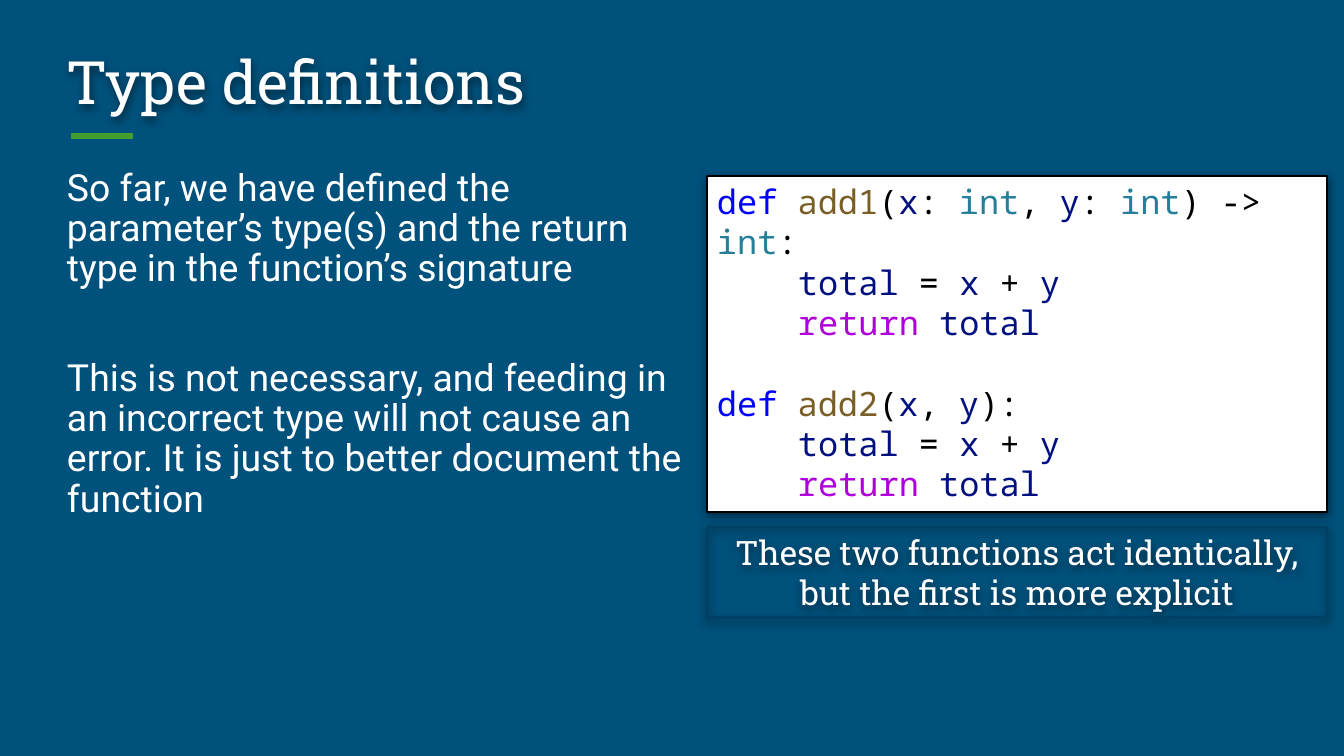
"""Build a slide on optional type definitions in Python functions."""
from lxml import etree
from pptx import Presentation
from pptx.dml.color import RGBColor
from pptx.enum.shapes import MSO_CONNECTOR, MSO_SHAPE
from pptx.enum.text import MSO_ANCHOR, MSO_AUTO_SIZE, PP_ALIGN
from pptx.oxml.ns import qn
from pptx.util import Pt

RECTANGLE = MSO_SHAPE.RECTANGLE
STRAIGHT = MSO_CONNECTOR.STRAIGHT
TOP, MIDDLE = MSO_ANCHOR.TOP, MSO_ANCHOR.MIDDLE
LEFT, CENTER = PP_ALIGN.LEFT, PP_ALIGN.CENTER
NO_AUTOFIT = MSO_AUTO_SIZE.NONE

TITLE = "Type definitions"
EXPLANATION = [
    "So far, we have defined the parameter’s type(s) and the return type in the function’s signature",
    "This is not necessary, and feeding in an incorrect type will not cause an error. "
    "It is just to better document the function",
]
CAPTION = "These two functions act identically, but the first is more explicit"
FUNCTION_BODY = [
    [("total", "variable"), (" = ", "plain"), ("x", "variable"), (" + ", "plain"), ("y", "variable")],
    [("return ", "control"), ("total", "variable")],
]
SIGNATURES = [
    [("def ", "keyword"), ("add1", "function"), ("(", "plain"),
     ("x", "variable"), (": ", "plain"), ("int", "type"), (", ", "plain"),
     ("y", "variable"), (": ", "plain"), ("int", "type"), (") -> ", "plain"),
     ("int", "type"), (":", "plain")],
    [("def ", "keyword"), ("add2", "function"), ("(", "plain"),
     ("x", "variable"), (", ", "plain"), ("y", "variable"), ("):", "plain")],
]

THEME = {
    "background": "00517C", "accent": "419E2F", "text": "FFFFFF",
    "panel": "FFFFFF", "panel_line": "000000", "caption_line": "004065", "shadow": "000000",
    "syntax": {"keyword": "0000FF", "function": "795E26", "plain": "000000",
               "variable": "001080", "type": "267F99", "control": "AF00DB"},
    "heading_font": "Roboto Slab", "body_font": "Roboto", "code_font": "Noto Sans Mono",
    "title_size": 32, "body_size": 20, "code_size": 18, "caption_size": 18,
}

EMU_PER_PX = 914400 / 134.4
SLIDE_SIZE = (1344, 756)
TITLE_BOX = (57, 35, 1230, 101)
BODY_BOX = (57, 164, 649, 507)
CODE_BOX = (707, 176, 620, 336)
CAPTION_BOX = (707, 527, 620, 91)
ACCENT_LINE = (71, 136, 133, 136)
INSET_X, INSET_Y, CODE_INDENT = 10, 5, 81
BODY_GAP, CODE_GAP = Pt(37), Pt(21.6)


def px(*lengths):
    return [round(length * EMU_PER_PX) for length in lengths]


def color(value):
    return RGBColor.from_string(value)


def place(shape, box):
    shape.left, shape.top, shape.width, shape.height = px(*box)


def set_frame(shape, anchor):
    frame = shape.text_frame
    frame.word_wrap = True
    frame.auto_size = NO_AUTOFIT
    frame.vertical_anchor = anchor
    frame.margin_left, frame.margin_right = px(INSET_X, INSET_X)
    frame.margin_top, frame.margin_bottom = px(INSET_Y, INSET_Y)
    return frame


def next_paragraph(frame, index, alignment=LEFT):
    paragraph = frame.add_paragraph() if index else frame.paragraphs[0]
    paragraph.alignment = alignment
    paragraph.space_before = Pt(0)
    return paragraph


def add_run(paragraph, text, font, size, value):
    run = paragraph.add_run()
    run.text = text
    run.font.name = font
    run.font.size = Pt(size)
    run.font.color.rgb = color(value)


def add_shadow(shape):
    shape.shadow.inherit = False
    effects = shape._element.spPr.find(qn("a:effectLst"))
    shadow = etree.SubElement(effects, qn("a:outerShdw"), blurRad=str(Pt(4.5)), dist=str(Pt(1.5)),
                              dir="5400000", algn="bl", rotWithShape="0")
    tint = etree.SubElement(shadow, qn("a:srgbClr"), val=THEME["shadow"])
    etree.SubElement(tint, qn("a:alpha"), val="50000")


def add_panel(slide, box, line_color, line_width, fill_color=None):
    panel = slide.shapes.add_shape(RECTANGLE, *px(*box))
    if fill_color:
        panel.fill.solid()
        panel.fill.fore_color.rgb = color(fill_color)
    else:
        panel.fill.background()
    panel.line.color.rgb = color(line_color)
    panel.line.width = Pt(line_width)
    add_shadow(panel)
    return set_frame(panel, TOP)


def add_title(slide):
    title = slide.shapes.title
    place(title, TITLE_BOX)
    add_shadow(title)
    paragraph = next_paragraph(set_frame(title, MIDDLE), 0)
    paragraph.line_spacing = 0.9
    add_run(paragraph, TITLE, THEME["heading_font"], THEME["title_size"], THEME["text"])


def add_accent(slide):
    accent = slide.shapes.add_connector(STRAIGHT, *px(*ACCENT_LINE))
    accent.line.color.rgb = color(THEME["accent"])
    accent.line.width = Pt(3)
    etree.SubElement(accent._element.spPr, qn("a:effectLst"))


def add_explanation(slide):
    body = slide.placeholders[1]
    place(body, BODY_BOX)
    frame = set_frame(body, TOP)
    for index, text in enumerate(EXPLANATION):
        paragraph = next_paragraph(frame, index)
        paragraph.line_spacing = 0.9
        if index:
            paragraph.space_before = BODY_GAP
        properties = paragraph._p.get_or_add_pPr()
        properties.set("marL", "0")
        properties.set("indent", "0")
        etree.SubElement(properties, qn("a:buNone"))
        add_run(paragraph, text, THEME["body_font"], THEME["body_size"], THEME["text"])


def add_code(slide):
    frame = add_panel(slide, CODE_BOX, THEME["panel_line"], 0.75, THEME["panel"])
    lines = [(line, row) for signature in SIGNATURES
             for row, line in enumerate([signature, *FUNCTION_BODY])]
    for index, (line, row) in enumerate(lines):
        paragraph = next_paragraph(frame, index)
        if row:
            paragraph._p.get_or_add_pPr().set("marL", str(px(CODE_INDENT)[0]))
        elif index:
            paragraph.space_before = CODE_GAP
        for token, kind in line:
            add_run(paragraph, token, THEME["code_font"], THEME["code_size"], THEME["syntax"][kind])


def add_caption(slide):
    frame = add_panel(slide, CAPTION_BOX, THEME["caption_line"], 1.5)
    paragraph = next_paragraph(frame, 0, CENTER)
    add_run(paragraph, CAPTION, THEME["heading_font"], THEME["caption_size"], THEME["text"])


def main():
    presentation = Presentation()
    presentation.slide_width, presentation.slide_height = px(*SLIDE_SIZE)
    slide = presentation.slides.add_slide(presentation.slide_layouts[1])
    slide.background.fill.solid()
    slide.background.fill.fore_color.rgb = color(THEME["background"])
    add_accent(slide)
    add_title(slide)
    add_explanation(slide)
    add_code(slide)
    add_caption(slide)
    presentation.save("out.pptx")


if __name__ == "__main__":
    main()
